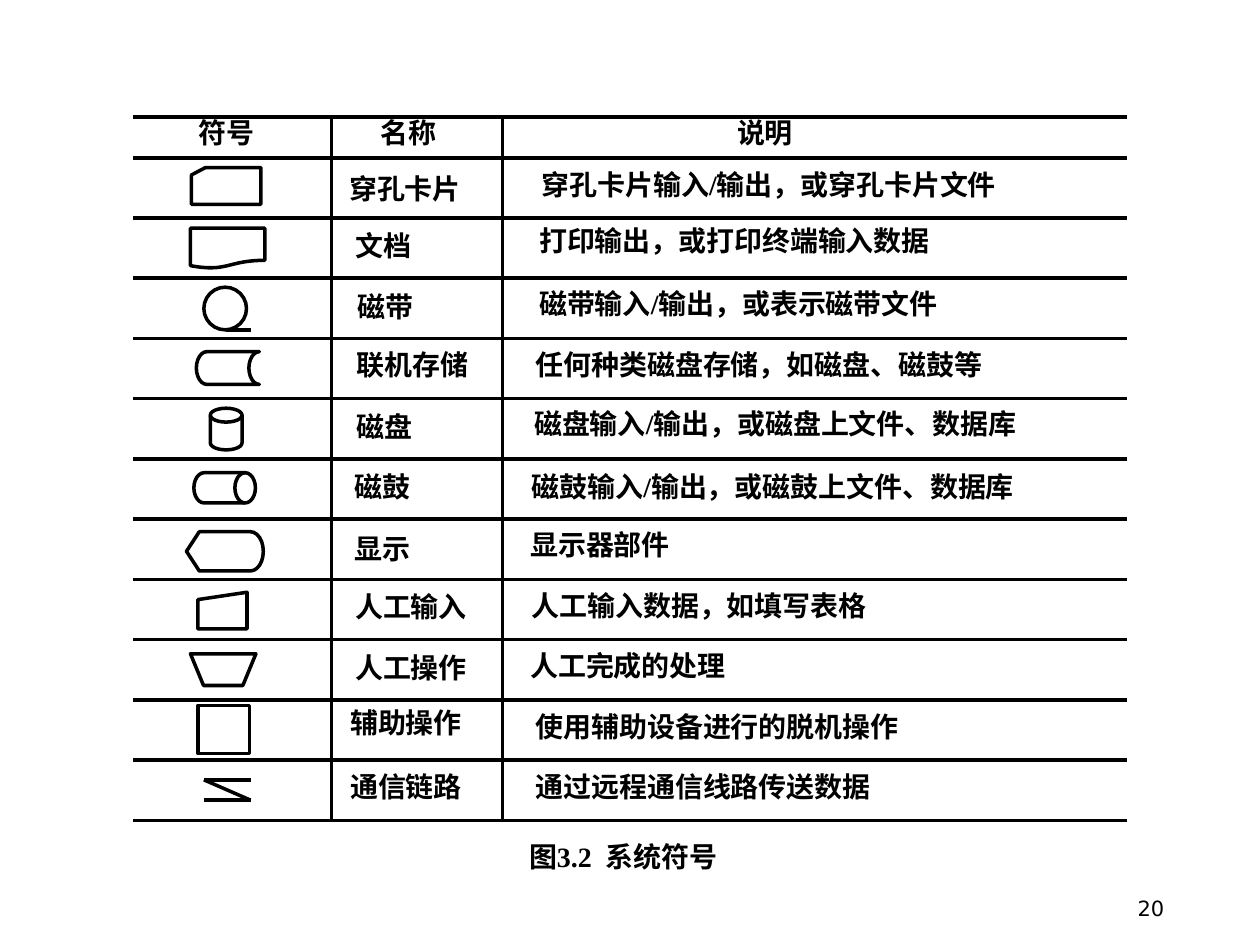
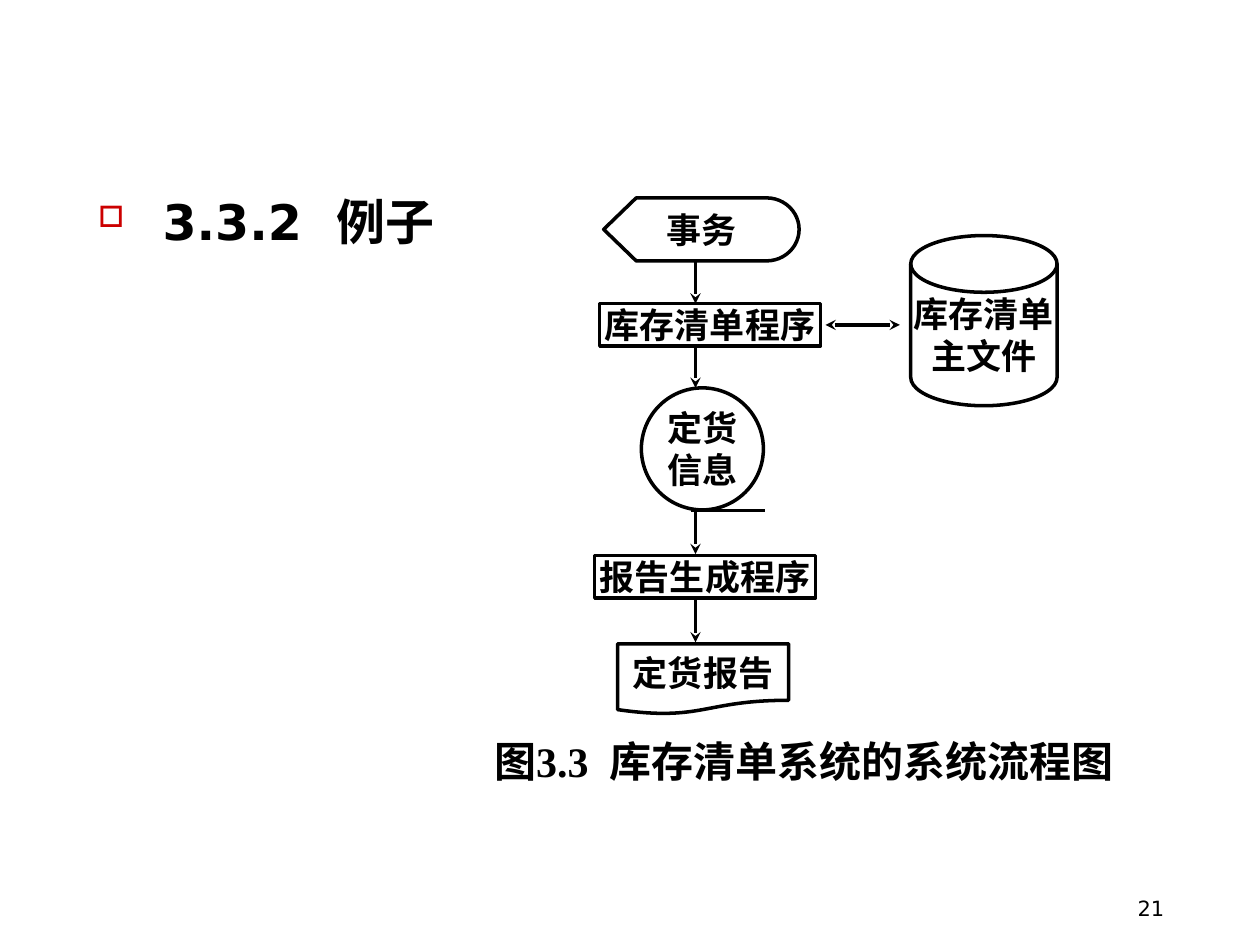
"""Build two slides: a table of system flowchart symbols and an inventory flowchart."""
from lxml import etree
from pptx import Presentation
from pptx import util as u
from pptx.dml import color
from pptx.enum import shapes, text
from pptx.oxml import ns

COLORS = {"ink": "000000", "bullet": "CC0000"}
SERIF, SANS, CJK = "Times New Roman", "DejaVu Sans", "Noto Sans CJK SC"
SPACE_WIDTH = {SERIF: 25, SANS: 35}
SHAPE, ALIGN = shapes.MSO_SHAPE, text.PP_ALIGN
INK = color.RGBColor.from_string(COLORS["ink"])


def draw_line(slide, x1, y1, x2, y2, arrows=()):
    line = slide.shapes.add_connector(
        shapes.MSO_CONNECTOR.STRAIGHT, u.Cm(x1), u.Cm(y1), u.Cm(x2), u.Cm(y2))
    line.line.color.rgb = INK
    line.line.width = u.Pt(2)
    properties = line.element.spPr
    outline = properties.find(ns.qn("a:ln"))
    for end in arrows:
        etree.SubElement(outline, ns.qn(f"a:{end}"), type="stealth")
    etree.SubElement(properties, ns.qn("a:effectLst"))


def place(slide, box, runs=(), size=16, align=ALIGN.CENTER, kind=None,
          inset=(0, 0), bold=True):
    box = [u.Cm(length) for length in box]
    if kind is None:
        item = slide.shapes.add_textbox(*box)
    else:
        item = slide.shapes.add_shape(kind, *box)
        item.shadow.inherit = False
        item.fill.background()
        item.line.color.rgb = INK
        item.line.width = u.Pt(2)
    frame = item.text_frame
    frame.word_wrap = True
    frame.margin_left = frame.margin_right = u.Cm(inset[0])
    frame.margin_top = frame.margin_bottom = u.Cm(inset[1])
    frame.vertical_anchor = text.MSO_ANCHOR.MIDDLE if kind else text.MSO_ANCHOR.TOP
    paragraph = frame.paragraphs[0]
    paragraph.alignment = align
    for words, typeface in runs:
        run = paragraph.add_run()
        run.text = words
        run.font.size = u.Pt(size)
        run.font.bold = bold
        run.font.color.rgb = INK
        run.font.name = typeface
        properties = run._r.get_or_add_rPr()
        etree.SubElement(properties, ns.qn("a:ea"), typeface=CJK)
        if words == " ":
            properties.set("spc", str(size * SPACE_WIDTH[typeface]))
    return paragraph


deck = Presentation()
deck.slide_width, deck.slide_height = u.Cm(25.4), u.Cm(19.05)
blank = deck.slide_layouts[6]
symbols = deck.slides.add_slide(blank)
example = deck.slides.add_slide(blank)

LEFT, RIGHT, TOP, HEADER_BOTTOM, BOTTOM = 2.69, 22.71, 2.36, 3.18, 16.54
symbol_rows = [
    (SHAPE.FLOWCHART_CARD, (3.86, 3.38, 1.4, 0.74),
     "穿孔卡片", 7.04, 3.45, "穿孔卡片输入/输出，或穿孔卡片文件", 10.92, 3.38),
    (SHAPE.FLOWCHART_DOCUMENT, (3.84, 4.6, 1.5, 0.81),
     "文档", 7.16, 4.6, "打印输出，或打印终端输入数据", 10.87, 4.5),
    (SHAPE.OVAL, (4.11, 5.79, 0.86, 0.86),
     "磁带", 7.21, 5.84, "磁带输入/输出，或表示磁带文件", 10.87, 5.77),
    (SHAPE.FLOWCHART_STORED_DATA, (3.96, 7.09, 1.27, 0.66),
     "联机存储", 7.19, 7.01, "任何种类磁盘存储，如磁盘、磁鼓等", 10.8, 7.01),
    (SHAPE.FLOWCHART_MAGNETIC_DISK, (4.24, 8.23, 0.64, 0.84),
     "磁盘", 7.19, 8.26, "磁盘输入/输出，或磁盘上文件、数据库", 10.77, 8.2),
    (SHAPE.FLOWCHART_DIRECT_ACCESS_STORAGE, (3.91, 9.53, 1.24, 0.61),
     "磁鼓", 7.14, 9.47, "磁鼓输入/输出，或磁鼓上文件、数据库", 10.72, 9.47),
    (SHAPE.FLOWCHART_DISPLAY, (3.76, 10.72, 1.55, 0.79),
     "显示", 7.14, 10.72, "显示器部件", 10.69, 10.64),
    (SHAPE.FLOWCHART_MANUAL_INPUT, (3.99, 11.94, 0.99, 0.74),
     "人工输入", 7.16, 11.89, "人工输入数据，如填写表格", 10.72, 11.86),
    (SHAPE.FLOWCHART_MANUAL_OPERATION, (3.84, 13.18, 1.32, 0.64),
     "人工操作", 7.16, 13.11, "人工完成的处理", 10.69, 13.08),
    (SHAPE.FLOWCHART_PROCESS, (3.99, 14.22, 1.04, 0.97),
     "辅助操作", 7.06, 14.22, "使用辅助设备进行的脱机操作", 10.8, 14.3),
    (None, None,
     "通信链路", 7.06, 15.52, "通过远程通信线路传送数据", 10.8, 15.52),
]
row_height = (BOTTOM - HEADER_BOTTOM) / len(symbol_rows)
rules = [TOP] + [HEADER_BOTTOM + row_height * i for i in range(len(symbol_rows) + 1)]
for y in rules:
    draw_line(symbols, LEFT, y, RIGHT, y)
for x in (6.68, 10.13):
    draw_line(symbols, x, TOP, x, BOTTOM)
for heading, x in (("符号", 4.01), ("名称", 7.67), ("说明", 14.86)):
    place(symbols, (x, 2.33, 2.34, 0.81), [(heading, SERIF)], align=ALIGN.JUSTIFY)
for symbol, symbol_box, name, name_x, name_y, meaning, meaning_x, meaning_y in symbol_rows:
    if symbol:
        place(symbols, symbol_box, kind=symbol)
    name_width = 2.34 if len(name) == 2 else 3.2
    meaning_width = 9.73 if len(meaning) <= 15 else 11.25
    place(symbols, (name_x, name_y, name_width, 0.81), [(name, SERIF)],
          align=ALIGN.JUSTIFY)
    place(symbols, (meaning_x, meaning_y, meaning_width, 0.81), [(meaning, SERIF)],
          align=ALIGN.JUSTIFY)

tape_tail = (4.55, 6.65, 5.05, 6.65)
link_strokes = [(4.11, 15.72, 5.05, 15.72), (4.11, 16.13, 5.05, 16.13),
                (4.11, 15.72, 5.05, 16.13)]
for stroke in [tape_tail, *link_strokes]:
    draw_line(symbols, *stroke)
place(symbols, (7.7, 16.92, 9.73, 0.81),
      [("图3.2", SERIF), (" ", SERIF), ("系统符号", SERIF)])

section = place(example, (1.73, 3.73, 8.97, 1.83), size=28, align=ALIGN.LEFT,
                runs=[("3.3.2", SANS), (" ", SANS), ("例子", CJK)], inset=(0.25, 0.13))
bullet = section._p.get_or_add_pPr()
bullet.set("marL", str(u.Cm(1.3)))
bullet.set("indent", str(-u.Cm(1.3)))
bullet_color = etree.SubElement(bullet, ns.qn("a:buClr"))
etree.SubElement(bullet_color, ns.qn("a:srgbClr"), val=COLORS["bullet"])
etree.SubElement(bullet, ns.qn("a:buSzPct"), val="60000")
etree.SubElement(bullet, ns.qn("a:buChar"), char="□")

flow_steps = [
    ("事务", SHAPE.FLOWCHART_DISPLAY, (12.17, 3.99, 3.94, 1.27), (0.25, 0.13)),
    ("库存清单程序", SHAPE.RECTANGLE, (12.09, 6.12, 4.45, 0.86), (0, 0)),
    ("报告生成程序", SHAPE.RECTANGLE, (11.99, 11.2, 4.45, 0.86), (0, 0)),
    ("定货信息", SHAPE.OVAL, (12.93, 7.82, 2.46, 2.46), (0, 0)),
    ("定货报告", SHAPE.FLOWCHART_DOCUMENT, (12.45, 12.98, 3.45, 1.42), (0.25, 0.13)),
    ("库存清单主文件", SHAPE.FLOWCHART_MAGNETIC_DISK, (18.36, 4.75, 2.95, 3.43), (0, 0)),
]
for step, symbol, box, inset in flow_steps:
    place(example, box, [(step, SERIF)], 20, kind=symbol, inset=inset)
draw_line(example, 13.92, 10.29, 15.42, 10.29)
place(example, (9.32, 14.83, 13.77, 0.89),
      [("图3.3", SERIF), (" ", SERIF), ("库存清单系统的系统流程图", SERIF)], 24)
for y in (5.26, 6.96, 10.31, 12.09):
    draw_line(example, 14.02, y, 14.02, y + 0.86, ["tailEnd"])
draw_line(example, 16.64, 6.55, 18.14, 6.55, ["headEnd", "tailEnd"])

for number, slide in enumerate(deck.slides, 20):
    place(slide, (18.21, 17.93, 5.51, 0.74), [(str(number), SANS)], 12,
          ALIGN.RIGHT, inset=(0.25, 0.13), bold=False)

deck.save("out.pptx")
